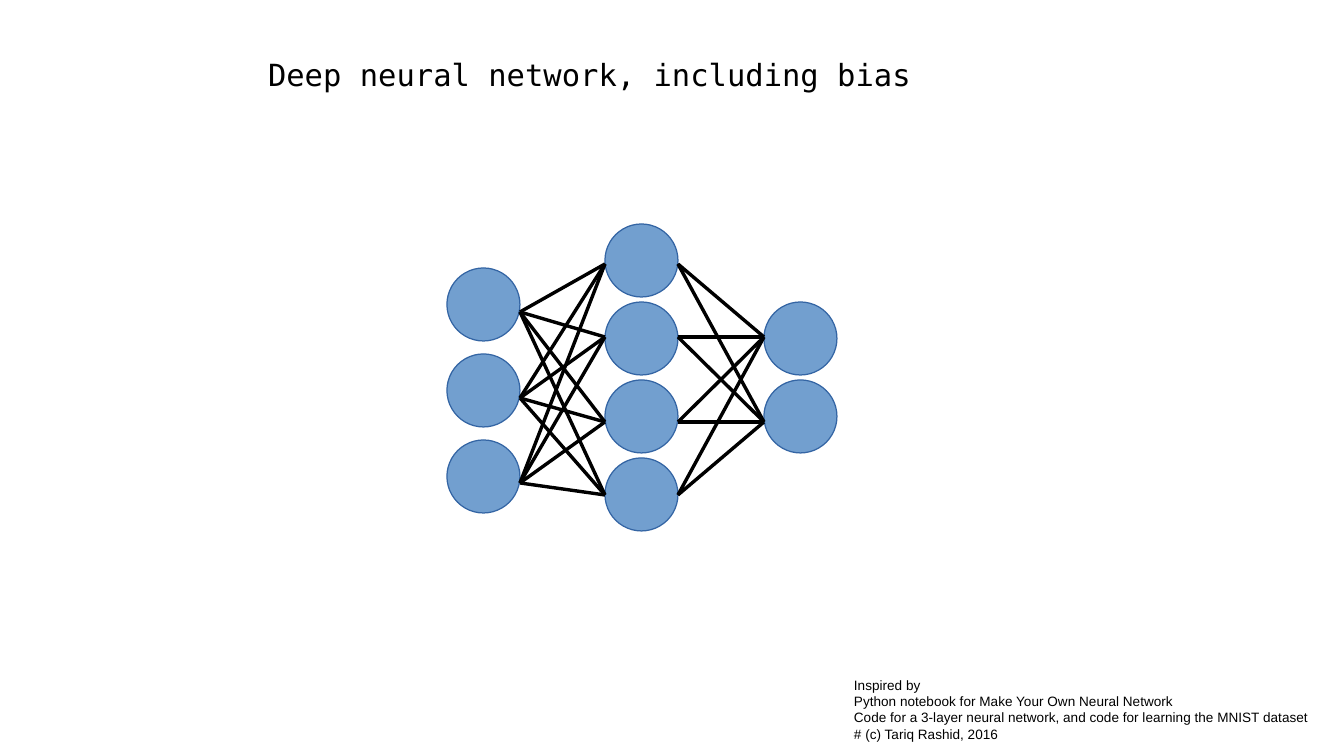
from itertools import product

from lxml import etree
from pptx import Presentation
from pptx.dml.color import RGBColor
from pptx.enum.shapes import MSO_CONNECTOR, MSO_SHAPE
from pptx.oxml.ns import qn
from pptx.util import Emu, Pt

PX = 914400 / 122
ELLIPSE = MSO_SHAPE.OVAL
STRAIGHT = MSO_CONNECTOR.STRAIGHT
BLACK = RGBColor(0x00, 0x00, 0x00)
NODE_FILL = RGBColor(0x72, 0x9F, 0xCF)
NODE_LINE = RGBColor(0x34, 0x65, 0xA4)

SLIDE_SIZE = (1344, 756)
NODE_SIZE = 73
HAIRLINE = Pt(0)

TEXTS = [
    {"box": (256, 50, 702, 51), "font": "DejaVu Sans Mono", "size": 18,
     "lines": ["Deep neural network, including bias"]},
    {"box": (842, 671, 488, 73), "font": "Arial", "size": 8,
     "lines": ["Inspired by",
               "Python notebook for Make Your Own Neural Network",
               "Code for a 3-layer neural network, and code for learning the MNIST dataset",
               "# (c) Tariq Rashid, 2016"]},
]

LAYERS = [
    {"left": 447, "top": 268, "pitch": 86, "ports": [312, 398, 483]},
    {"left": 605, "top": 224, "pitch": 78, "ports": [264, 337, 422, 495]},
    {"left": 764, "top": 302, "pitch": 78, "ports": [337, 422]},
]


def px(*lengths):
    return [Emu(round(n * PX)) for n in lengths]


def add_text(s, text):
    tf = s.shapes.add_textbox(*px(*text["box"])).text_frame
    tf.word_wrap = True
    tf.text = "\n".join(text["lines"])
    for p in tf.paragraphs:
        for r in p.runs:
            r.font.name = text["font"]
            r.font.size = Pt(text["size"])
            r.font.color.rgb = BLACK


def add_node(network, left, top):
    sp = network.shapes.add_shape(ELLIPSE, *px(left, top, NODE_SIZE, NODE_SIZE))
    sp.shadow.inherit = False
    sp.fill.solid()
    sp.fill.fore_color.rgb = NODE_FILL
    sp.line.color.rgb = NODE_LINE
    sp.line.width = HAIRLINE


def add_link(network, x1, y1, x2, y2):
    link = network.shapes.add_connector(STRAIGHT, *px(x1, y1, x2, y2))
    link.line.color.rgb = BLACK
    link.line.width = HAIRLINE
    etree.SubElement(link._element.spPr, qn("a:effectLst"))


def add_network(s):
    network = s.shapes.add_group_shape()
    for layer in LAYERS:
        for i in range(len(layer["ports"])):
            add_node(network, layer["left"], layer["top"] + i * layer["pitch"])
    for source, target in zip(LAYERS, LAYERS[1:]):
        for y1, y2 in product(source["ports"], target["ports"]):
            add_link(network, source["left"] + NODE_SIZE, y1, target["left"], y2)


def main():
    prs = Presentation()
    prs.slide_width, prs.slide_height = px(*SLIDE_SIZE)
    s = prs.slides.add_slide(prs.slide_layouts[6])
    title, credit = TEXTS
    add_text(s, title)
    add_network(s)
    add_text(s, credit)
    prs.save("out.pptx")


if __name__ == "__main__":
    main()
